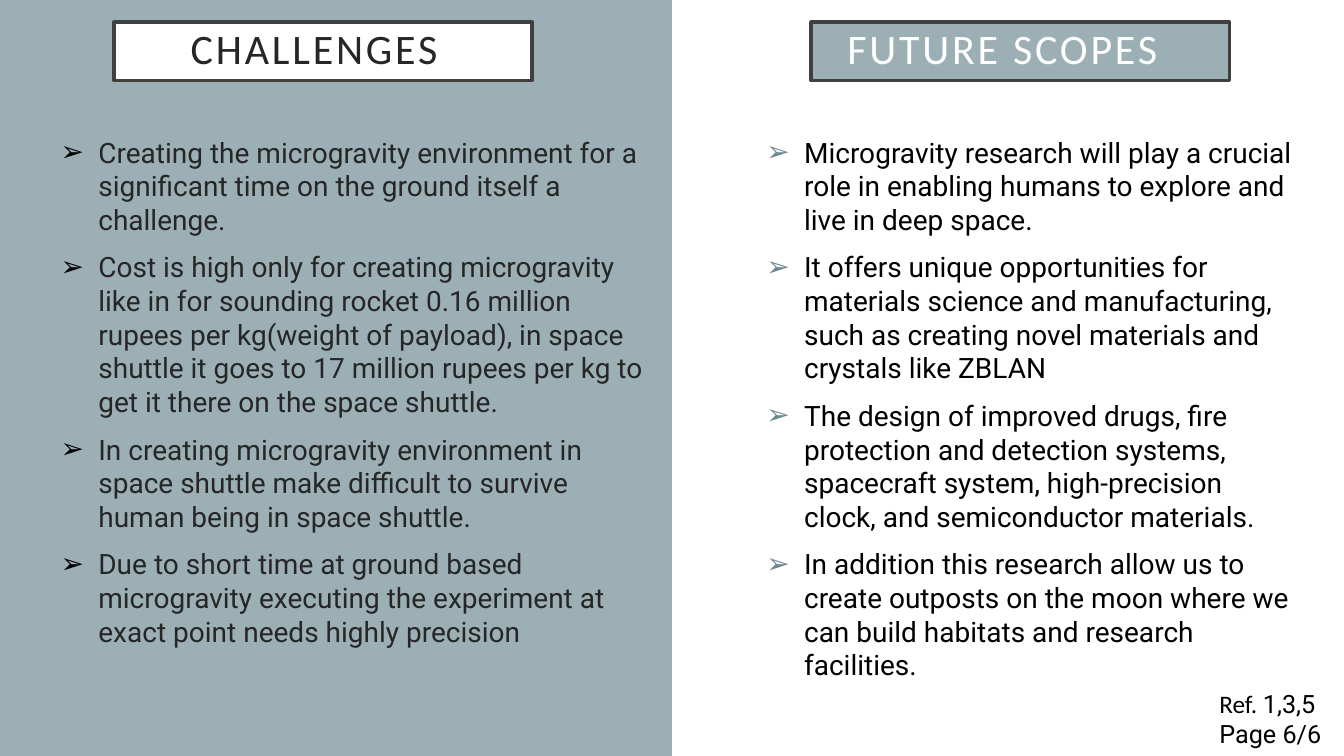
from dataclasses import dataclass

from lxml import etree
from pptx import Presentation
from pptx.dml.color import RGBColor
from pptx.enum.shapes import MSO_SHAPE
from pptx.enum.text import MSO_ANCHOR, MSO_AUTO_SIZE, PP_ALIGN
from pptx.oxml.ns import qn
from pptx.util import Cm, Pt

RECTANGLE = MSO_SHAPE.RECTANGLE
MIDDLE, TOP = MSO_ANCHOR.MIDDLE, MSO_ANCHOR.TOP
NO_FIT = MSO_AUTO_SIZE.NONE
CENTER, LEFT = PP_ALIGN.CENTER, PP_ALIGN.LEFT


@dataclass(frozen=True)
class Theme:
    sage: str = "9BAFB5"
    slate: str = "6B8891"
    frame: str = "404040"
    charcoal: str = "262626"
    black: str = "000000"
    white: str = "FFFFFF"
    heading_font: str = "Calibri"
    body_font: str = "Roboto"
    heading_size: float = 30
    body_size: float = 20
    note_size: float = 18


THEME = Theme()
SLIDE_WIDTH, SLIDE_HEIGHT = 33.87, 19.05
HALF_WIDTH = SLIDE_WIDTH / 2

CHALLENGES = [
    "Creating the microgravity environment for a significant time on the ground itself a challenge.",
    "Cost is high only for creating microgravity like in for sounding rocket 0.16 million rupees per kg(weight of "
    "payload), in space shuttle it goes to 17 million rupees per kg to get it there on the space shuttle.",
    "In creating microgravity environment in space shuttle make difficult to survive human being in space shuttle.",
    "Due to short time at ground based microgravity executing the experiment at exact point needs highly precision",
]
FUTURE_SCOPES = [
    "Microgravity research will play a crucial role in enabling humans to explore and live in deep space.",
    "It offers unique opportunities for materials science and manufacturing, such as creating novel materials "
    "and crystals like ZBLAN",
    "The design of improved drugs, fire protection and detection systems, spacecraft system, high-precision "
    "clock, and semiconductor materials.",
    "In addition this research allow us to create outposts on the moon where we can build habitats and "
    "research facilities.",
]


def add_span(para, text, *, font, size, color, spacing=0):
    span = para.add_run()
    span.text = text
    span.font.name = font
    span.font.size = Pt(size)
    span.font.color.rgb = RGBColor.from_string(color)
    if spacing:
        span._r.get_or_add_rPr().set("spc", str(spacing * 100))


def add_bullet(para, color):
    properties = para._p.get_or_add_pPr()
    properties.set("marL", str(Cm(2.23)))
    properties.set("indent", str(Cm(-0.95)))
    bullet_color = etree.SubElement(properties, qn("a:buClr"))
    etree.SubElement(bullet_color, qn("a:srgbClr"), val=color)
    etree.SubElement(properties, qn("a:buFont"), typeface="Arial")
    etree.SubElement(properties, qn("a:buChar"), char="➢")


def place(shape, box):
    shape.left, shape.top, shape.width, shape.height = map(Cm, box)


def add_rectangle(page, box, fill):
    shape = page.shapes.add_shape(RECTANGLE, *map(Cm, box))
    shape.shadow.inherit = False
    shape.fill.solid()
    shape.fill.fore_color.rgb = RGBColor.from_string(fill)
    shape.line.fill.background()
    return shape


def add_text_frame(page, box):
    frame = page.shapes.add_textbox(*map(Cm, box)).text_frame
    frame.word_wrap = True
    frame.vertical_anchor = TOP
    return frame


def format_heading(shape, box, text, *, fill, color, shift):
    place(shape, box)
    shape.fill.solid()
    shape.fill.fore_color.rgb = RGBColor.from_string(fill)
    shape.line.color.rgb = RGBColor.from_string(THEME.frame)
    shape.line.width = Pt(2.5)
    frame = shape.text_frame
    frame.auto_size = NO_FIT
    frame.word_wrap = True
    frame.vertical_anchor = MIDDLE
    frame.margin_left = frame.margin_top = frame.margin_bottom = Cm(0.5)
    frame.margin_right = Cm(0.5 + 2 * shift)
    para = frame.paragraphs[0]
    para.alignment = CENTER
    para.line_spacing = 0.9
    add_span(para, text, font=THEME.heading_font, size=THEME.heading_size, color=color, spacing=2)


def add_points(page, box, points, *, color, bullet_color):
    frame = add_text_frame(page, box)
    for index, point in enumerate(points):
        para = frame.add_paragraph() if index else frame.paragraphs[0]
        para.alignment = LEFT
        para.space_before = Pt(10)
        add_bullet(para, bullet_color)
        add_span(para, point, font=THEME.body_font, size=THEME.body_size, color=color)


def add_column(page, box, heading, title, points, *, heading_left, points_left, points_width,
               fill, heading_color, shift, color, bullet_color):
    left, top, _, height = box
    format_heading(heading, (left + heading_left, top + 0.56, 10.54, 1.47), title,
                   fill=fill, color=heading_color, shift=shift)
    add_points(page, (left + points_left, top + 3.28, points_width, height - 5),
               points, color=color, bullet_color=bullet_color)


def add_reference(page, box):
    frame = add_text_frame(page, box)
    style = {"size": THEME.note_size, "color": THEME.black}
    first = frame.paragraphs[0]
    add_span(first, "Ref. ", font=THEME.heading_font, **style)
    add_span(first, "1,3,5", font=THEME.body_font, **style)
    add_span(frame.add_paragraph(), "Page 6/6", font=THEME.body_font, **style)


def build_page(deck):
    page = deck.slides.add_slide(deck.slide_layouts[5])
    title = page.shapes.title
    left_half = (0, 0, HALF_WIDTH, SLIDE_HEIGHT)
    right_half = (HALF_WIDTH, 0, HALF_WIDTH, SLIDE_HEIGHT)
    panel = add_rectangle(page, left_half, THEME.sage)
    title.element.addprevious(panel.element)
    add_column(page, left_half, title, "CHALLENGES", CHALLENGES,
               heading_left=2.87, points_left=0, points_width=16.74,
               fill=THEME.white, heading_color=THEME.charcoal, shift=0.22,
               color=THEME.charcoal, bullet_color=THEME.black)
    scopes_heading = add_rectangle(page, right_half, THEME.sage)
    add_column(page, right_half, scopes_heading, "FUTURE SCOPES", FUTURE_SCOPES,
               heading_left=3.51, points_left=0.85, points_width=15.19,
               fill=THEME.sage, heading_color=THEME.white, shift=0.45,
               color=THEME.black, bullet_color=THEME.slate)
    add_reference(page, (30.48, 17.22, 3.39, 1.83))


def main():
    deck = Presentation()
    deck.slide_width, deck.slide_height = Cm(SLIDE_WIDTH), Cm(SLIDE_HEIGHT)
    build_page(deck)
    deck.save("out.pptx")


if __name__ == "__main__":
    main()
